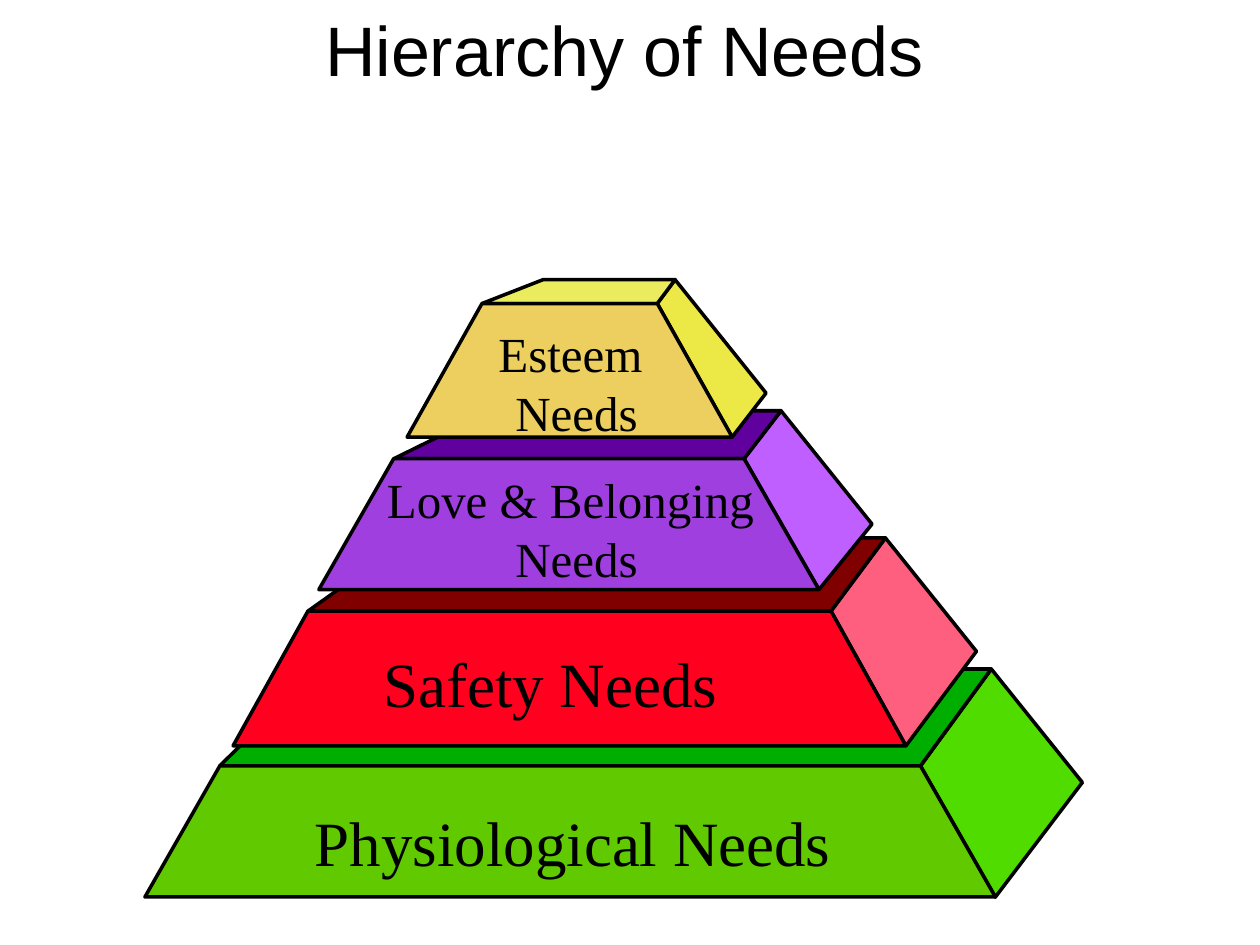
from dataclasses import dataclass

from pptx import Presentation
from pptx.dml.color import RGBColor
from pptx.enum.text import PP_ALIGN
from pptx.util import Pt

LEFT = PP_ALIGN.LEFT
CENTER = PP_ALIGN.CENTER
SERIF = "Times New Roman"
SANS = "Arial"
COLORS = {
    "ink": "000000",
    "physiological": ("51DC00", "00AE00", "60C900"),
    "safety": ("FF5F7F", "800000", "FF001F"),
    "love": ("BF5FFF", "5F009F", "9F3FDF"),
    "esteem": ("ECE846", "EAEC5E", "ECCF5E"),
}
FRONT_INSET = 42.8
BACK_INSET = 52
CORNER_DROP = 64.8


@dataclass
class Tier:
    name: str
    box: tuple
    front_width: float
    lip: float
    back_left: float
    lines: tuple
    label_box: tuple
    size: int
    align: int = CENTER
    wrap: bool = True


TIERS = [
    Tier("physiological", (82.8, 382.3, 535.7, 130.3), 486, 55.4, 98.6,
         ("Physiological Needs",), (90, 73.4, 309.6, 50.4), 36, LEFT, False),
    Tier("safety", (133.2, 307.4, 424.8, 118.8), 384.5, 41.8, 101.5,
         ("Safety Needs",), (15.8, 57.6, 331.2, 50.4), 36),
    Tier("love", (182.2, 234.7, 316.1, 102.2), 285.8, 27.4, 98.6,
         ("Love & Belonging ", "Needs"), (31.7, 30.2, 231.1, 74.2), 28, CENTER, False),
    Tier("esteem", (232.6, 159.8, 205.2, 90), 185.8, 13.7, 77.8,
         ("Esteem ", "Needs"), (42.5, 21.6, 108.7, 74.2), 28),
]


def add_face(page, points, color):
    corners = [(Pt(x), Pt(y)) for x, y in points]
    builder = page.shapes.build_freeform(*corners[0])
    builder.add_line_segments(corners[1:], close=True)
    face = builder.convert_to_shape()
    face.shadow.inherit = False
    face.fill.solid()
    face.fill.fore_color.rgb = RGBColor.from_string(color)
    face.line.color.rgb = RGBColor.from_string(COLORS["ink"])
    face.line.width = Pt(2)


def add_label(page, box, lines, font, size, align=CENTER, wrap=True):
    frame = page.shapes.add_textbox(*map(Pt, box)).text_frame
    frame.word_wrap = wrap
    frame.text = "\n".join(lines)
    for para in frame.paragraphs:
        para.alignment = align
        for span in para.runs:
            span.font.name = font
            span.font.size = Pt(size)
            span.font.color.rgb = RGBColor.from_string(COLORS["ink"])


def add_tier(page, tier):
    left, top, width, height = tier.box
    bottom = top + height
    front_top = top + tier.lip
    bottom_left = (left, bottom)
    bottom_right = (left + tier.front_width, bottom)
    top_left = (left + FRONT_INSET, front_top)
    top_right = (left + tier.front_width - FRONT_INSET, front_top)
    back_left = (left + tier.back_left, top)
    back_right = (left + width - BACK_INSET, top)
    corner = (left + width, top + CORNER_DROP)

    faces = (
        (bottom_right, top_right, back_right, corner),
        (top_left, top_right, back_right, back_left),
        (top_left, top_right, bottom_right, bottom_left),
    )
    for points, color in zip(faces, COLORS[tier.name]):
        add_face(page, points, color)

    x, y, label_width, label_height = tier.label_box
    add_label(page, (left + x, top + y, label_width, label_height),
              tier.lines, SERIF, tier.size, tier.align, tier.wrap)


def main():
    deck = Presentation()
    deck.slide_width = Pt(720)
    deck.slide_height = Pt(540)
    page = deck.slides.add_slide(deck.slide_layouts[6])
    for tier in TIERS:
        add_tier(page, tier)
    add_label(page, (0, 0, 713.5, 54.7), ("Hierarchy of Needs",), SANS, 40)
    deck.save("out.pptx")


if __name__ == "__main__":
    main()
